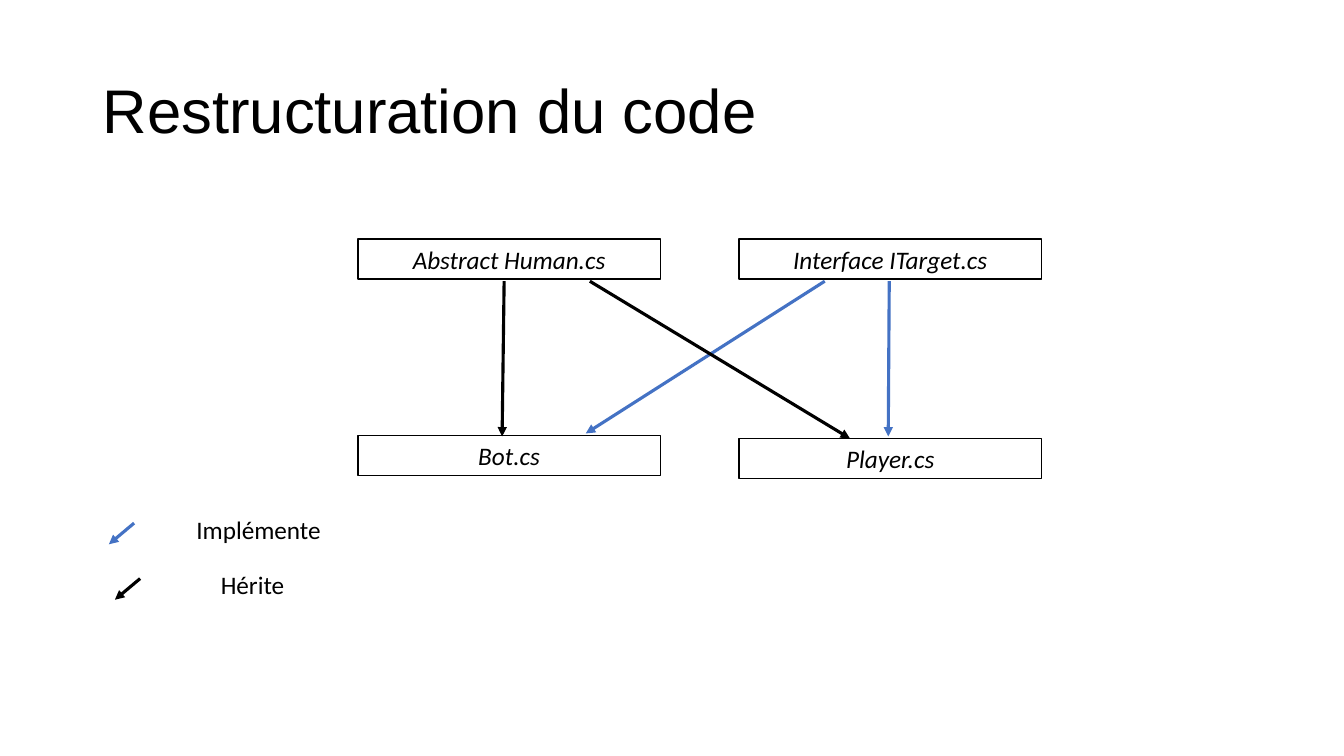
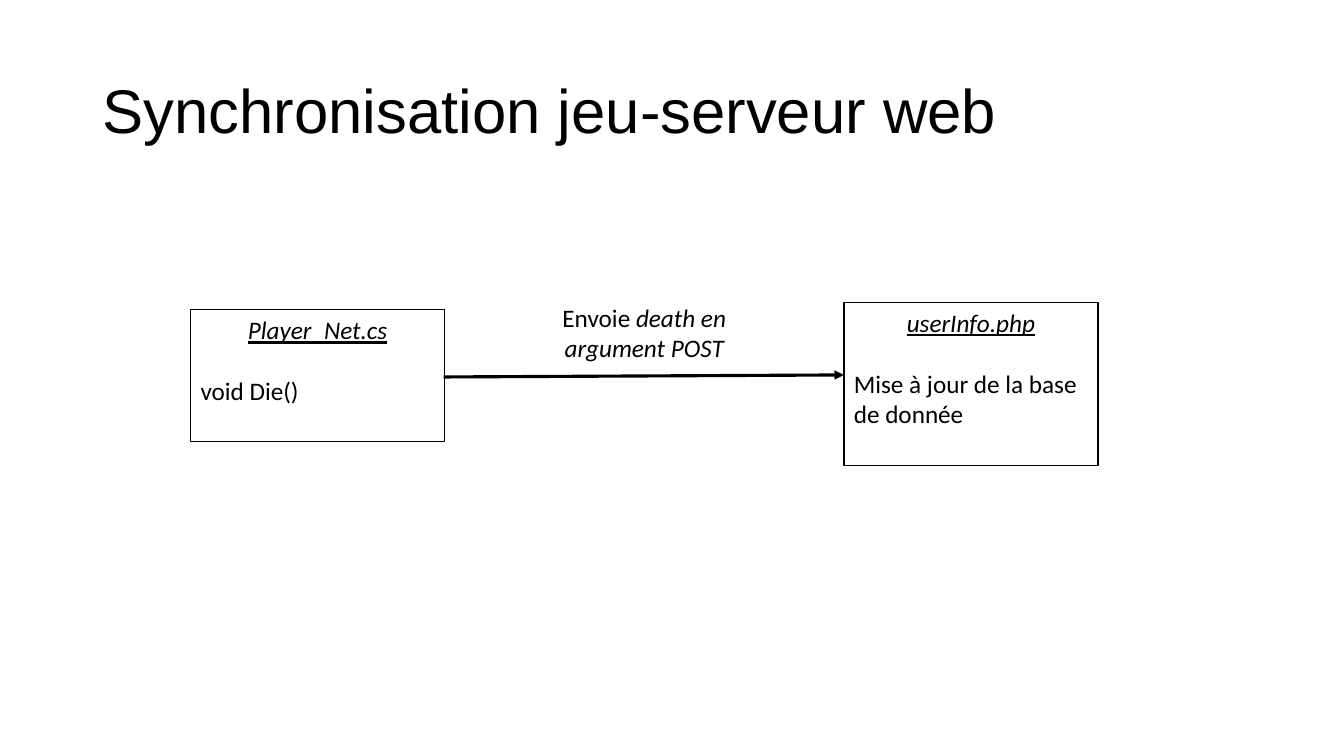
from dataclasses import dataclass

from lxml import etree
from pptx import Presentation
from pptx.dml.color import RGBColor
from pptx.enum import shapes, text
from pptx.oxml import ns
from pptx.util import Inches, Pt


@dataclass(frozen=True)
class Theme:
    ink: RGBColor = RGBColor(0x00, 0x00, 0x00)
    paper: RGBColor = RGBColor(0xFF, 0xFF, 0xFF)
    accent: RGBColor = RGBColor(0x44, 0x72, 0xC4)
    title_font: str = "Arial"
    body_font: str = "Calibri"
    title_size: int = 44
    body_size: int = 18
    body_gap: int = 22
    border: float = 1
    arrow: float = 2.25


class Deck:
    def __init__(self, theme):
        self.theme = theme
        self.prs = Presentation()
        self.prs.slide_width = Inches(13.33)
        self.prs.slide_height = Inches(7.5)
        self.slide = None

    def new_slide(self, title):
        self.slide = self.prs.slides.add_slide(self.prs.slide_layouts[6])
        heading = self._text_box(0.92, 0.4, 11.5, 1.45)
        heading.vertical_anchor = text.MSO_ANCHOR.MIDDLE
        heading.text = title
        line = heading.paragraphs[0]
        line.line_spacing = 0.9
        self._style(line.runs[0], self.theme.title_font, self.theme.title_size)

    def box(self, left, top, width, height, name, detail=None):
        """Bordered box with a centred file name and an optional detail below."""
        rect = self.slide.shapes.add_shape(
            shapes.MSO_SHAPE.RECTANGLE,
            Inches(left), Inches(top), Inches(width), Inches(height))
        rect.shadow.inherit = False
        rect.fill.solid()
        rect.fill.fore_color.rgb = self.theme.paper
        rect.line.color.rgb = self.theme.ink
        rect.line.width = Pt(self.theme.border)
        frame = rect.text_frame
        frame.word_wrap = True
        frame.vertical_anchor = text.MSO_ANCHOR.TOP
        frame.text = name
        heading = frame.paragraphs[0]
        heading.alignment = text.PP_ALIGN.CENTER
        self._style(heading.runs[0], italic=True, underline=detail is not None)
        if detail:
            body = frame.add_paragraph()
            body.text = detail
            body.alignment = text.PP_ALIGN.LEFT
            body.space_before = Pt(self.theme.body_gap)
            self._style(body.runs[0])

    def label(self, left, top, width, height, plain, emphasis=None):
        """Centred caption, with an optional italic ending."""
        frame = self._text_box(left, top, width, height)
        frame.text = plain
        caption = frame.paragraphs[0]
        caption.alignment = text.PP_ALIGN.CENTER
        self._style(caption.runs[0])
        if emphasis:
            ending = caption.add_run()
            ending.text = emphasis
            self._style(ending, italic=True)

    def arrow(self, start, end, color):
        link = self.slide.shapes.add_connector(
            shapes.MSO_CONNECTOR.STRAIGHT, *map(Inches, (*start, *end)))
        link.line.color.rgb = color
        link.line.width = Pt(self.theme.arrow)
        etree.SubElement(link.line._get_or_add_ln(), ns.qn("a:tailEnd"), type="triangle")
        etree.SubElement(link._element.spPr, ns.qn("a:effectLst"))

    def save(self):
        self.prs.save("out.pptx")

    def _text_box(self, left, top, width, height):
        frame = self.slide.shapes.add_textbox(
            Inches(left), Inches(top), Inches(width), Inches(height)).text_frame
        frame.word_wrap = True
        return frame

    def _style(self, run, font=None, size=None, italic=False, underline=False):
        run.font.name = font or self.theme.body_font
        run.font.size = Pt(size or self.theme.body_size)
        run.font.color.rgb = self.theme.ink
        run.font.italic = italic
        run.font.underline = underline


def code_structure(deck):
    inherits, implements = deck.theme.ink, deck.theme.accent
    deck.new_slide("Restructuration du code")

    left_column, right_column, parent_row = 3.55, 7.33, 2.37
    for left, top, name in (
        (left_column, parent_row, "Abstract Human.cs"),
        (right_column, parent_row, "Interface ITarget.cs"),
        (left_column, 4.32, "Bot.cs"),
        (right_column, 4.35, "Player.cs"),
    ):
        deck.box(left, top, 3, 0.4, name)

    parent_exit = 2.79
    for start_x, end, relation in (
        (5, (4.98, 4.33), inherits),
        (8.82, (8.81, 4.33), implements),
        (8.18, (5.81, 4.3), implements),
        (5.85, (8.43, 4.35), inherits),
    ):
        deck.arrow((start_x, parent_exit), end, relation)

    for left, top, meaning, relation in (
        (1.36, 5.05, "Implémente", implements),
        (1.3, 5.6, "Hérite", inherits),
    ):
        key_x = 2.67 - left
        key_y = top + 0.14
        deck.arrow((key_x + 0.02, key_y), (key_x - 0.23, key_y + 0.21), relation)
        deck.label(left, top, 2.41, 0.4, meaning)


def server_sync(deck):
    deck.new_slide("Synchronisation jeu-serveur web")
    deck.box(1.89, 3.07, 2.52, 1.31, "Player_Net.cs", "void Die()")
    deck.box(8.37, 3, 2.52, 1.62, "userInfo.php", "Mise à jour de la base de donnée")
    deck.arrow((4.4, 3.74), (8.37, 3.72), deck.theme.ink)
    deck.label(5.12, 2.95, 2.54, 0.71, "Envoie ", "death en argument POST")


def main():
    deck = Deck(Theme())
    code_structure(deck)
    server_sync(deck)
    deck.save()


if __name__ == "__main__":
    main()
